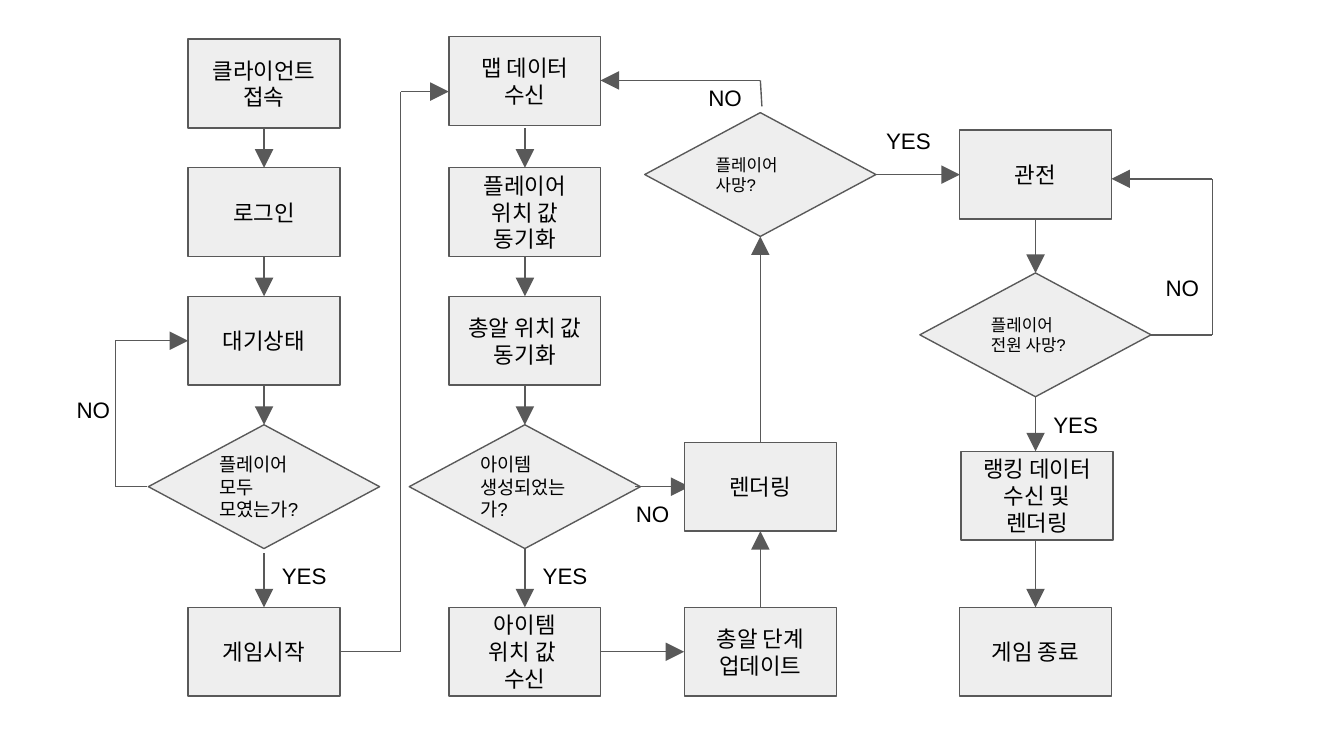
from itertools import pairwise

from lxml.etree import SubElement
from pptx import Presentation
from pptx.dml.color import RGBColor
from pptx.enum.shapes import MSO_CONNECTOR, MSO_SHAPE
from pptx.enum.text import MSO_ANCHOR, PP_ALIGN
from pptx.oxml.ns import qn
from pptx.util import Cm, Pt

COLORS = {"box": "EEEEEE", "line": "595959", "text": "000000"}
STEP_W, STEP_H = 2.87, 1.68
CHECK_W, CHECK_H = 4.37, 2.34
EDGE, TIP = STEP_W / 2, CHECK_W / 2
PITCH, LAST = 2.43, 10.74
CHECK = 3 * PITCH
CHECK_MID, LAST_MID = CHECK + CHECK_H / 2, LAST + STEP_H / 2


def color(name):
    """Return the named colour."""
    return RGBColor.from_string(COLORS[name])


def write(shape, text, size=12, align=PP_ALIGN.CENTER, anchor=MSO_ANCHOR.MIDDLE):
    """Fill a shape with formatted text, one paragraph a line."""
    frame = shape.text_frame
    frame.word_wrap = True
    frame.vertical_anchor = anchor
    frame.margin_left = frame.margin_right = Cm(0.25)
    frame.margin_top = frame.margin_bottom = Cm(0.25)
    frame.text = text
    for paragraph in frame.paragraphs:
        paragraph.alignment = align
        for run in paragraph.runs:
            run.font.name = "Arial"
            run.font.size = Pt(size)
            run.font.color.rgb = color("text")


def node(slide, box, preset, x, y, width, height):
    """Draw an outlined shape centred on x within the column box."""
    left, top = box
    shape = slide.shapes.add_shape(
        preset, Cm(left + x - width / 2), Cm(top + y), Cm(width), Cm(height))
    shape.shadow.inherit = False
    shape.fill.solid()
    shape.fill.fore_color.rgb = color("box")
    shape.line.color.rgb = color("line")
    shape.line.width = Pt(0.75)
    return shape


def step(slide, box, y, text, x=0):
    """Draw a process step."""
    write(node(slide, box, MSO_SHAPE.RECTANGLE, x, y, STEP_W, STEP_H), text)


def check(slide, box, y, text, size):
    """Draw a decision diamond."""
    diamond = node(slide, box, MSO_SHAPE.DIAMOND, 0, y, CHECK_W, CHECK_H)
    write(diamond, text, size=size, align=PP_ALIGN.LEFT)


def answer(slide, box, x, y, text):
    """Label a branch with its answer."""
    left, top = box
    width, height = {"YES": (1.52, 1.02), "NO": (1.35, 1.32)}[text]
    label = slide.shapes.add_textbox(
        Cm(left + x), Cm(top + y), Cm(width), Cm(height))
    write(label, text, anchor=MSO_ANCHOR.TOP)


def flow(slide, box, *points):
    """Join points with straight lines and put an arrowhead at the end."""
    left, top = box
    for (x1, y1), (x2, y2) in pairwise(points):
        line = slide.shapes.add_connector(
            MSO_CONNECTOR.STRAIGHT,
            Cm(left + x1), Cm(top + y1), Cm(left + x2), Cm(top + y2))
        line.line.color.rgb = color("line")
        line.line.width = Pt(0.75)
        SubElement(line._element.spPr, qn("a:effectLst"))
    SubElement(line.line._get_or_add_ln(), qn("a:tailEnd"),
               type="triangle", w="lg", len="lg")


def descend(slide, box, *spans):
    """Draw vertical arrows on the column axis."""
    for start, end in spans:
        flow(slide, box, (0, start), (0, end))


def lobby(slide, box):
    """Draw the connection, login and waiting column."""
    for row, text in enumerate(["클라이언트\n접속", "로그인", "대기상태"]):
        step(slide, box, row * PITCH, text)
        descend(slide, box, (row * PITCH + STEP_H, (row + 1) * PITCH))
    check(slide, box, CHECK, "플레이어 모두 모였는가?", 10)
    step(slide, box, LAST, "게임시작")
    descend(slide, box, (9.72, LAST))
    waiting = 2 * PITCH + STEP_H / 2
    flow(slide, box, (-2.22, CHECK_MID), (-2.81, CHECK_MID),
         (-2.81, waiting), (-EDGE, waiting))
    flow(slide, box, (EDGE, LAST_MID), (2.58, LAST_MID), (2.58, 0.99), (3.49, 0.99))
    answer(slide, box, -3.9, 6.5, "NO")
    answer(slide, box, 0, CHECK + CHECK_H, "YES")


def synchronisation(slide, box):
    """Draw the column that receives and synchronises game data."""
    sync_steps = ["맵 데이터 수신", "플레이어 위치 값 동기화", "총알 위치 값\n동기화"]
    for row, text in enumerate(sync_steps):
        step(slide, box, row * PITCH if row else -0.05, text)
        descend(slide, box, (row * PITCH + STEP_H, (row + 1) * PITCH))
    check(slide, box, CHECK, "아이템 생성되었는가?", 10)
    step(slide, box, LAST, "아이템\n위치 값 \n수신")
    descend(slide, box, (CHECK + CHECK_H, LAST))
    flow(slide, box, (2.09, CHECK_MID), (3.11, CHECK_MID))
    flow(slide, box, (EDGE, LAST_MID), (3.01, LAST_MID))
    answer(slide, box, 1.74, CHECK_MID, "NO")
    answer(slide, box, 0, CHECK + CHECK_H, "YES")


def rendering(slide, box):
    """Draw the bullet update, rendering and death check column."""
    death, render = 1.39, 7.62
    check(slide, box, death, "플레이어 사망?", 9)
    step(slide, box, render, "렌더링")
    step(slide, box, LAST, "총알 단계 업데이트")
    descend(slide, box, (LAST, render + STEP_H), (render, death + CHECK_H))
    flow(slide, box, (0.03, 1.27), (0, 0.78), (-3.02, 0.78))
    flow(slide, box, (TIP, death + CHECK_H / 2), (3.77, death + CHECK_H / 2))
    answer(slide, box, -1.34, 0.61, "NO")
    answer(slide, box, 2.04, 1.42, "YES")


def spectating(slide, box):
    """Draw the spectating, ranking and game end column."""
    watch, all_dead, ranking = 1.72, 4.42, 7.79
    step(slide, box, watch, "관전")
    check(slide, box, all_dead, "플레이어 전원 사망?", 9)
    step(slide, box, ranking, "랭킹 데이터 수신 및 렌더링", x=0.03)
    step(slide, box, LAST, "게임 종료")
    descend(slide, box, (watch + STEP_H, all_dead),
            (all_dead + CHECK_H, ranking), (ranking + STEP_H, LAST))
    all_dead_mid = all_dead + CHECK_H / 2
    flow(slide, box, (TIP, all_dead_mid), (3.34, all_dead_mid),
         (3.34, 2.64), (EDGE, 2.64))
    answer(slide, box, 2.1, 4.19, "NO")
    answer(slide, box, 0, 6.78, "YES")


def main():
    """Build the game client flowchart."""
    deck = Presentation()
    deck.slide_width, deck.slide_height = Cm(25.4), Cm(14.29)
    slide = deck.slides.add_slide(deck.slide_layouts[6])
    columns = {lobby: 4.99, synchronisation: 9.92, rendering: 14.37, spectating: 19.57}
    for draw, axis in columns.items():
        draw(slide, (axis, 0.74))
    deck.save("out.pptx")


main()
